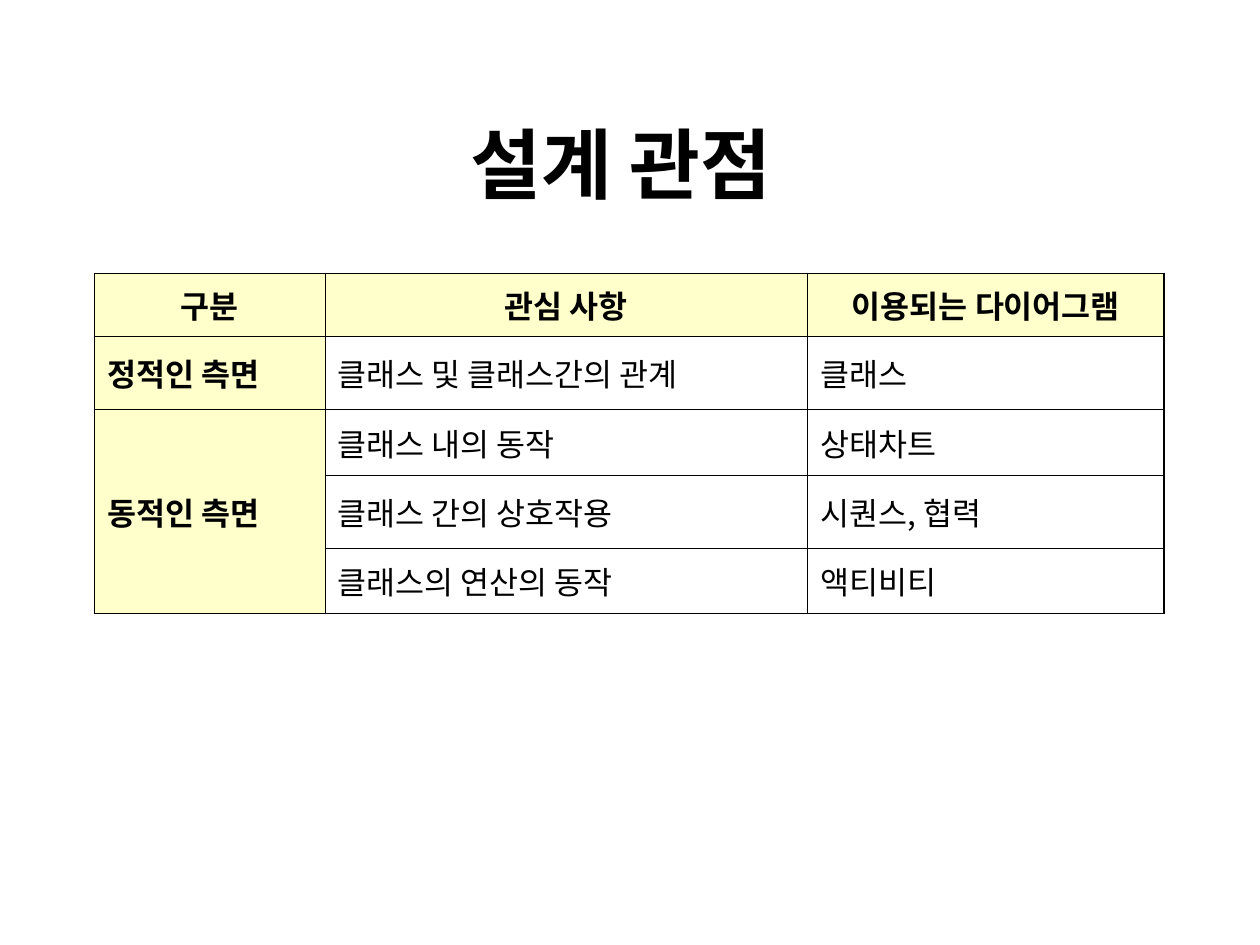
"""Build a slide with a table of design viewpoints."""
import pptx
import pptx.dml.color
import pptx.enum.text
import pptx.oxml
import pptx.oxml.ns
import pptx.util
from lxml import etree
from pptx.util import Inches

FONT = "Noto Sans CJK KR"
ALIGN = pptx.enum.text.PP_ALIGN
MIDDLE = pptx.enum.text.MSO_ANCHOR.MIDDLE
NS = pptx.oxml.ns.nsdecls("a")


def color(value):
    return pptx.dml.color.RGBColor.from_string(value)


def write(tf, text, size, bold, align):
    p = tf.paragraphs[0]
    p.alignment = align
    r = p.add_run()
    r.text = text
    r.font.color.rgb = color("000000")
    for name, value in {"size": pptx.util.Pt(size), "bold": bold, "name": FONT}.items():
        setattr(r.font, name, value)
    etree.SubElement(r.font._element, pptx.oxml.ns.qn("a:ea"), typeface=FONT)
    return p


prs = pptx.Presentation()
prs.slide_width, prs.slide_height = Inches(10), Inches(7.5)
s = prs.slides.add_slide(prs.slide_layouts[5])

title = s.shapes.title
box = {"left": 0.75, "top": 0.67, "width": 8.5, "height": 1.25}
for name, value in box.items():
    setattr(title, name, Inches(value))
title.text_frame.vertical_anchor = MIDDLE
write(title.text_frame, "설계 관점 ", 44, True, ALIGN.CENTER)

rows = [
    ["구분", "관심 사항", "이용되는 다이어그램"],
    ["정적인 측면", "클래스 및 클래스간의 관계", "클래스"],
    ["동적인 측면", "클래스 내의 동작", "상태차트"],
    ["", "클래스 간의 상호작용", "시퀀스, 협력"],
    ["", "클래스의 연산의 동작", "액티비티"],
]
widths = [1.83, 3.83, 2.83]
heights = [0.5, 0.58, 0.52, 0.58, 0.52]
last_row, last_col = len(rows) - 1, len(widths) - 1

table = s.shapes.add_table(len(rows), len(widths), Inches(0.75), Inches(2.17),
                           Inches(sum(widths)), Inches(sum(heights))).table
for name in ("first_row", "horz_banding"):
    setattr(table, name, False)
for column, width in zip(table.columns, widths):
    column.width = Inches(width)
for row, height in zip(table.rows, heights):
    row.height = Inches(height)
table.cell(2, 0).merge(table.cell(last_row, 0))

for i, texts in enumerate(rows):
    for j, text in enumerate(texts):
        cell = table.cell(i, j)
        cell.vertical_anchor = MIDDLE
        header = i == 0 or j == 0
        if header:
            cell.fill.solid()
            cell.fill.fore_color.rgb = color("FFFFCC")
        else:
            cell.fill.background()
        if text:
            p = write(cell.text_frame, text, 18, header, ALIGN.LEFT if i else ALIGN.CENTER)
            p.space_before = pptx.util.Pt(4.5)
        bottom = i == last_row or (cell.is_merge_origin and i + cell.span_height > last_row)
        outer = {"L": j == 0, "R": j == last_col, "T": i == 0, "B": bottom}
        tcPr = cell._tc.get_or_add_tcPr()
        for k, (side, edge) in enumerate(outer.items()):
            width = pptx.util.Pt(1.08 if edge else 0.45)
            tcPr.insert(k, pptx.oxml.parse_xml(
                f'<a:ln{side} {NS} w="{width}"><a:solidFill><a:srgbClr val="000000"/>'
                f'</a:solidFill></a:ln{side}>'))

prs.save("out.pptx")
